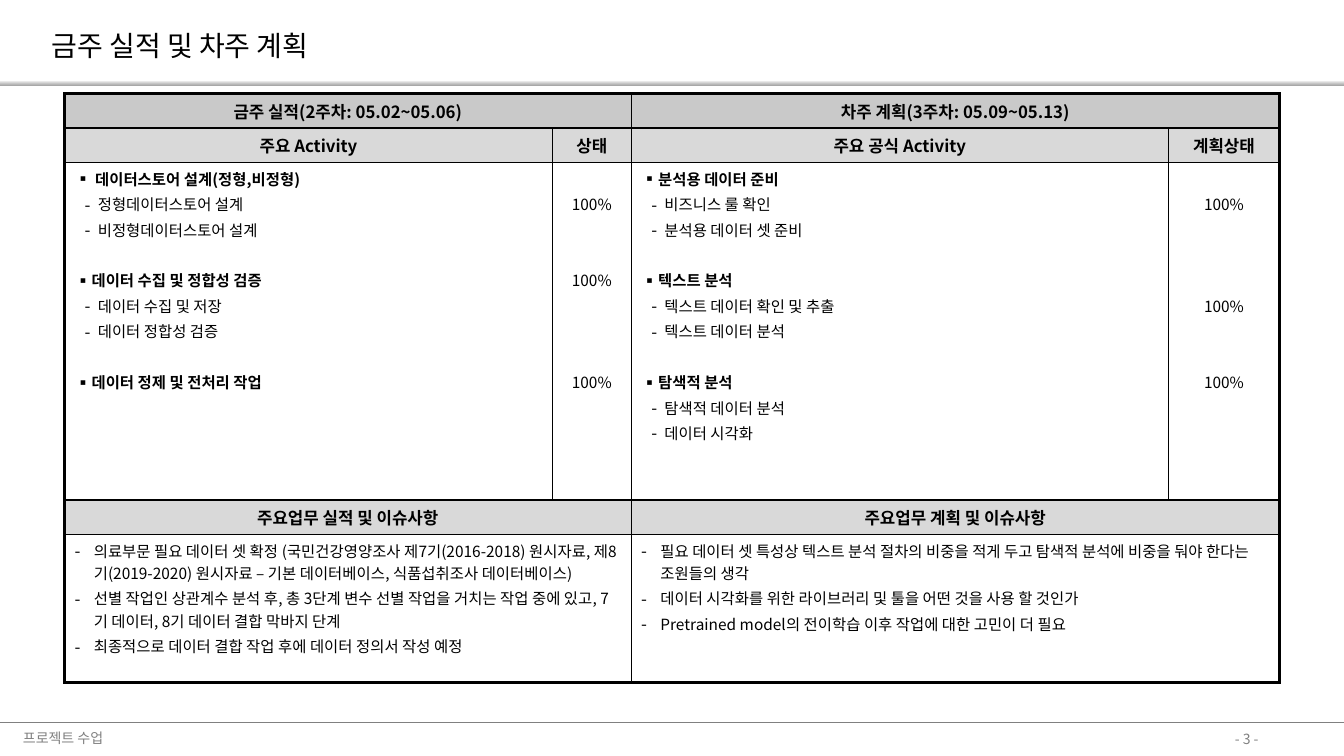
from dataclasses import dataclass
from lxml import etree
from pptx import Presentation
from pptx import util as u
from pptx.dml.color import RGBColor
from pptx.enum import shapes, text
from pptx.oxml import ns


@dataclass(frozen=True)
class Theme:
    font: str = "Noto Sans CJK KR"
    ink: str = "000000"
    gray: str = "808080"
    paper: str = "FFFFFF"
    band: str = "C9C9C9"
    head: str = "D9D9D9"
    ramp: tuple = ((0, "FAFAFA"), (35, "D7D7D7"), (100, "A6A6A6"))
    title: int = 20
    label: int = 12
    body: int = 11
    foot: int = 10
    thin: float = 1
    thick: float = 2.25


THEME = Theme()
GAP = 2.2
PITCH = 18.13
MID = text.MSO_ANCHOR.MIDDLE
CENTER = text.PP_ALIGN.CENTER
COLS = (4.84, 0.78, 5.33, 1.1)
ROWS = (0.34, 0.34, 3.35, 0.34, 1.47)

WEEKS = ("금주 실적(2주차: 05.02~05.06)", "차주 계획(3주차: 05.09~05.13)")
HEADS = ("주요 Activity", "상태", "주요 공식 Activity", "계획상태")
NOTES = ("주요업무 실적 및 이슈사항", "주요업무 계획 및 이슈사항")
TASKS = (
    ((" 데이터스토어 설계(정형,비정형)", "정형데이터스토어 설계", "비정형데이터스토어 설계"),
     ("데이터 수집 및 정합성 검증", "데이터 수집 및 저장", "데이터 정합성 검증"),
     ("데이터 정제 및 전처리 작업",)),
    (("분석용 데이터 준비", "비즈니스 룰 확인", "분석용 데이터 셋 준비"),
     ("텍스트 분석", "텍스트 데이터 확인 및 추출", "텍스트 데이터 분석"),
     ("탐색적 분석", "탐색적 데이터 분석", "데이터 시각화")),
)
STATES = (((1, "100%"), (4, "100%"), (8, "100%")),
          ((1, "100%"), (5, "100%"), (8, "100%")))
ISSUES = (
    ("의료부문 필요 데이터 셋 확정 (국민건강영양조사 제7기(2016-2018) 원시자료, "
     "제8기(2019-2020) 원시자료 – 기본 데이터베이스, 식품섭취조사 데이터베이스)",
     "선별 작업인 상관계수 분석 후, 총 3단계 변수 선별 작업을 거치는 작업 중에 있고, "
     "7기 데이터, 8기 데이터 결합 막바지 단계",
     "최종적으로 데이터 결합 작업 후에 데이터 정의서 작성 예정"),
    ("필요 데이터 셋 특성상 텍스트 분석 절차의 비중을 적게 두고 탐색적 분석에 비중을 "
     "둬야 한다는 조원들의 생각",
     "데이터 시각화를 위한 라이브러리 및 툴을 어떤 것을 사용 할 것인가",
     "Pretrained model의 전이학습 이후 작업에 대한 고민이 더 필요"),
)


def apply(obj, **vals):
    for key, val in vals.items():
        setattr(obj, key, val)


def rgb(code):
    return RGBColor.from_string(code)


def sub(node, tag, **vals):
    return etree.SubElement(node, ns.qn("a:" + tag), vals)


def write(para, words, size, color=THEME.ink, bold=False):
    run = para.add_run()
    run.text = words
    apply(run.font, name=THEME.font, size=u.Pt(size), bold=bold)
    run.font.color.rgb = rgb(color)
    sub(run.font._element, "ea", typeface=THEME.font)


def mark(para, char, left, hang):
    props = para._p.get_or_add_pPr()
    props.set("marL", str(u.Inches(left)))
    props.set("indent", str(-u.Inches(hang)))
    sub(props, "buSzPct", val="110000")
    sub(props, "buFont", typeface=THEME.font)
    sub(props, "buChar", char=char)


def next_para(frame):
    first = frame.paragraphs[0]
    return frame.add_paragraph() if first.runs else first


def add_item(frame, words, char, left, hang, space=GAP, bold=False):
    para = next_para(frame)
    para.space_before = u.Pt(space if para is not frame.paragraphs[0] else 0)
    mark(para, char, left, hang)
    write(para, words, THEME.body, bold=bold)


def add_tasks(cell, groups):
    frame = cell.text_frame
    for spot, (head, *steps) in enumerate(groups):
        space = GAP + PITCH if spot else 0
        add_item(frame, head, "▪", 0.09, 0.09, space, True)
        for step in steps:
            add_item(frame, step, "-", 0.23, 0.13)


def add_states(cell, marks):
    last = marks[0][0]
    cell.margin_top = u.Inches(0.05) + u.Pt(PITCH * last)
    for row, words in marks:
        para = next_para(cell.text_frame)
        skip = max(row - last - 1, 0)
        space = GAP + PITCH * skip if row > last else 0
        apply(para, alignment=CENTER, space_before=u.Pt(space))
        write(para, words, THEME.body)
        last = row


def add_issues(cell, items):
    for words in items:
        add_item(cell.text_frame, words, "-", 0.19, 0.19)


def add_label(cell, words):
    cell.vertical_anchor = MID
    para = cell.text_frame.paragraphs[0]
    para.alignment = CENTER
    write(para, words, THEME.label, bold=True)


def style_cell(cell, row, col, color):
    end = col + (cell.span_width if cell.is_merge_origin else 1)
    props = cell._tc.get_or_add_tcPr()
    outer = {"lnL": col == 0, "lnR": end == len(COLS),
             "lnT": row == 0, "lnB": row == len(ROWS) - 1}
    for tag, edge in outer.items():
        width = THEME.thick if edge else THEME.thin
        line = sub(props, tag, w=str(u.Pt(width)))
        sub(sub(line, "solidFill"), "srgbClr", val=THEME.ink)
    cell.fill.solid()
    cell.fill.fore_color.rgb = rgb(color)


def add_report(slide):
    box = [u.Inches(v) for v in (0.64, 0.93, sum(COLS), sum(ROWS))]
    table = slide.shapes.add_table(len(ROWS), len(COLS), *box).table
    apply(table, first_row=False, horz_banding=False)
    for col, width in zip(table.columns, COLS):
        col.width = u.Inches(width)
    for row, height in zip(table.rows, ROWS):
        row.height = u.Inches(height)
    for row in (0, 3, 4):
        for col in (0, 2):
            table.cell(row, col).merge(table.cell(row, col + 1))
    fills = (THEME.band, THEME.head, THEME.paper, THEME.head, THEME.paper)
    for row, color in enumerate(fills):
        for col in range(len(COLS)):
            style_cell(table.cell(row, col), row, col, color)
    for col, words in enumerate(HEADS):
        add_label(table.cell(1, col), words)
    for side in range(2):
        col = side * 2
        add_label(table.cell(0, col), WEEKS[side])
        add_tasks(table.cell(2, col), TASKS[side])
        add_states(table.cell(2, col + 1), STATES[side])
        add_label(table.cell(3, col), NOTES[side])
        add_issues(table.cell(4, col), ISSUES[side])


def add_bar(slide):
    box = [u.Inches(v) for v in (0, 0.8, 13.33, 0.05)]
    bar = slide.shapes.add_shape(shapes.MSO_SHAPE.RECTANGLE, *box)
    bar.shadow.inherit = False
    bar.line.fill.background()
    bar.fill.gradient()
    bar.fill.gradient_angle = 270
    stops = bar._element.spPr.find(".//" + ns.qn("a:gsLst"))
    for stop in list(stops):
        stops.remove(stop)
    for pos, color in THEME.ramp:
        sub(sub(stops, "gs", pos=str(pos * 1000)), "srgbClr", val=color)


def add_rule(slide):
    ends = [u.Inches(v) for v in (0, 7.17, 13.33, 7.17)]
    rule = slide.shapes.add_connector(shapes.MSO_CONNECTOR.STRAIGHT, *ends)
    rule.line.color.rgb = rgb(THEME.gray)
    rule.line.width = u.Pt(0.5)
    sub(rule._element.spPr, "effectLst")


def add_foot(slide, words, left, top, width):
    box = [u.Inches(v) for v in (left, top, width, 0.27)]
    frame = slide.shapes.add_textbox(*box).text_frame
    frame.word_wrap = True
    write(frame.paragraphs[0], words, THEME.foot, THEME.gray)


def add_title(slide, words):
    title = slide.shapes.title
    apply(title, left=u.Inches(0.41), top=u.Inches(0.23),
          width=u.Inches(2.88), height=u.Inches(0.44))
    frame = title.text_frame
    apply(frame, word_wrap=False, vertical_anchor=MID,
          auto_size=text.MSO_AUTO_SIZE.NONE)
    para = frame.paragraphs[0]
    para.alignment = text.PP_ALIGN.LEFT
    write(para, words, THEME.title)


def main():
    deck = Presentation()
    apply(deck, slide_width=u.Inches(13.33), slide_height=u.Inches(7.5))
    slide = deck.slides.add_slide(deck.slide_layouts[5])
    add_bar(slide)
    add_rule(slide)
    add_foot(slide, "- 3 -", 12.15, 7.2, 0.7)
    add_foot(slide, "프로젝트 수업", 0.13, 7.19, 2.46)
    add_report(slide)
    add_title(slide, "금주 실적 및 차주 계획")
    deck.save("out.pptx")


if __name__ == "__main__":
    main()
